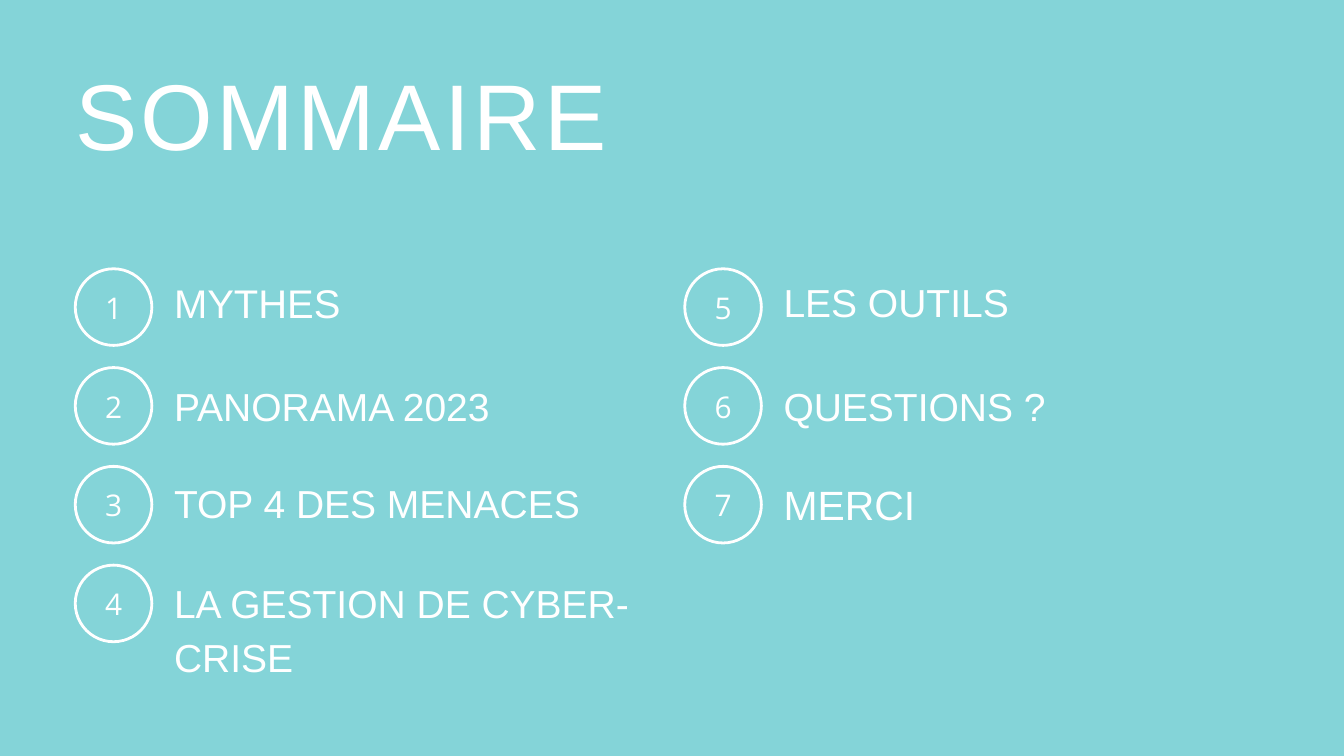
from pptx import Presentation
from pptx.dml.color import RGBColor as RGB
from pptx.enum.shapes import MSO_SHAPE as Shape
from pptx.enum.text import MSO_ANCHOR as Anchor, MSO_AUTO_SIZE as Fit, PP_ALIGN as Align
from pptx.util import Inches, Pt

HUES = {"back": "84D4D8", "ink": "FFFFFF"}
LEFT, RIGHT = 1.12, 10.19
TOP, STEP = 4, 1.47

# Each column: left edge, then label, label top, width, height, size, leading
COLS = [
    (LEFT, [
        ("MYTHES", 4.03, 7.41, 0.88, 42.8, 60),
        ("PANORAMA 2023", 5.58, 7.41, 0.87, 41.8, 58.6),
        ("TOP 4 DES MENACES", 7.02, 7.41, 1.69, 41.8, 58.6),
        ("LA GESTION DE CYBER-CRISE", 8.5, 7.28, 1.69, 41.8, 58.6),
    ]),
    (RIGHT, [
        ("LES OUTILS", 4.03, 5.42, 0.87, 41.8, 58.6),
        ("QUESTIONS ?", 5.58, 8, 0.87, 41.8, 58.6),
        ("MERCI", 7.01, 5.83, 0.91, 43.8, 61.4),
    ]),
]


def write(frame, text, size, lead, face="Arial", align=Align.LEFT,
          anchor=Anchor.TOP, inset=0, track=None):
    frame.word_wrap = True
    frame.auto_size = Fit.NONE
    frame.vertical_anchor = anchor
    frame.margin_left = frame.margin_right = Inches(inset)
    frame.margin_top = frame.margin_bottom = Inches(inset)
    para = frame.paragraphs[0]
    para.alignment = align
    para.line_spacing = Pt(lead)
    para.space_before = Pt(0)
    run = para.add_run()
    run.text = text
    font = run.font
    font.name, font.size = face, Pt(size)
    font.color.rgb = RGB.from_string(HUES["ink"])
    if track:
        font._element.set("spc", str(round(track * 100)))


class Deck:
    """Holds the style and the current slide."""

    def __init__(self):
        self.prs = Presentation()
        self.prs.slide_width, self.prs.slide_height = Inches(20), Inches(11.25)
        self.slide = self.prs.slides.add_slide(self.prs.slide_layouts[5])
        fill = self.slide.background.fill
        fill.solid()
        fill.fore_color.rgb = RGB.from_string(HUES["back"])

    def title(self, text):
        box = self.slide.shapes.title
        box.left, box.top = Inches(LEFT), Inches(1.05)
        box.width, box.height = Inches(12.09), Inches(1.74)
        write(box.text_frame, text, 100, 106, track=3.7)

    def text(self, text, x, y, w, h, **style):
        box = self.slide.shapes.add_textbox(
            Inches(x), Inches(y), Inches(w), Inches(h))
        write(box.text_frame, text, **style)

    def badge(self, num, x, y):
        """Ring with its number."""
        ring = self.slide.shapes.add_shape(
            Shape.OVAL, Inches(x), Inches(y), Inches(1.14), Inches(1.14))
        ring.shadow.inherit = False
        ring.fill.background()
        ring.line.color.rgb = RGB.from_string(HUES["ink"])
        ring.line.width = Pt(3)
        self.text(str(num), x + 0.11, y + 0.03, 0.92, 1, size=32, lead=44.8,
                  face="Open Sans", align=Align.CENTER,
                  anchor=Anchor.MIDDLE, inset=0.06)


def main():
    deck = Deck()
    deck.title("SOMMAIRE")
    num = 0
    for x, rows in COLS:
        for i, (label, y, w, h, size, lead) in enumerate(rows):
            num += 1
            deck.badge(num, x, TOP + i * STEP)
            deck.text(label, x + 1.47, y, w, h, size=size, lead=lead)
    deck.prs.save("out.pptx")


if __name__ == "__main__":
    main()
